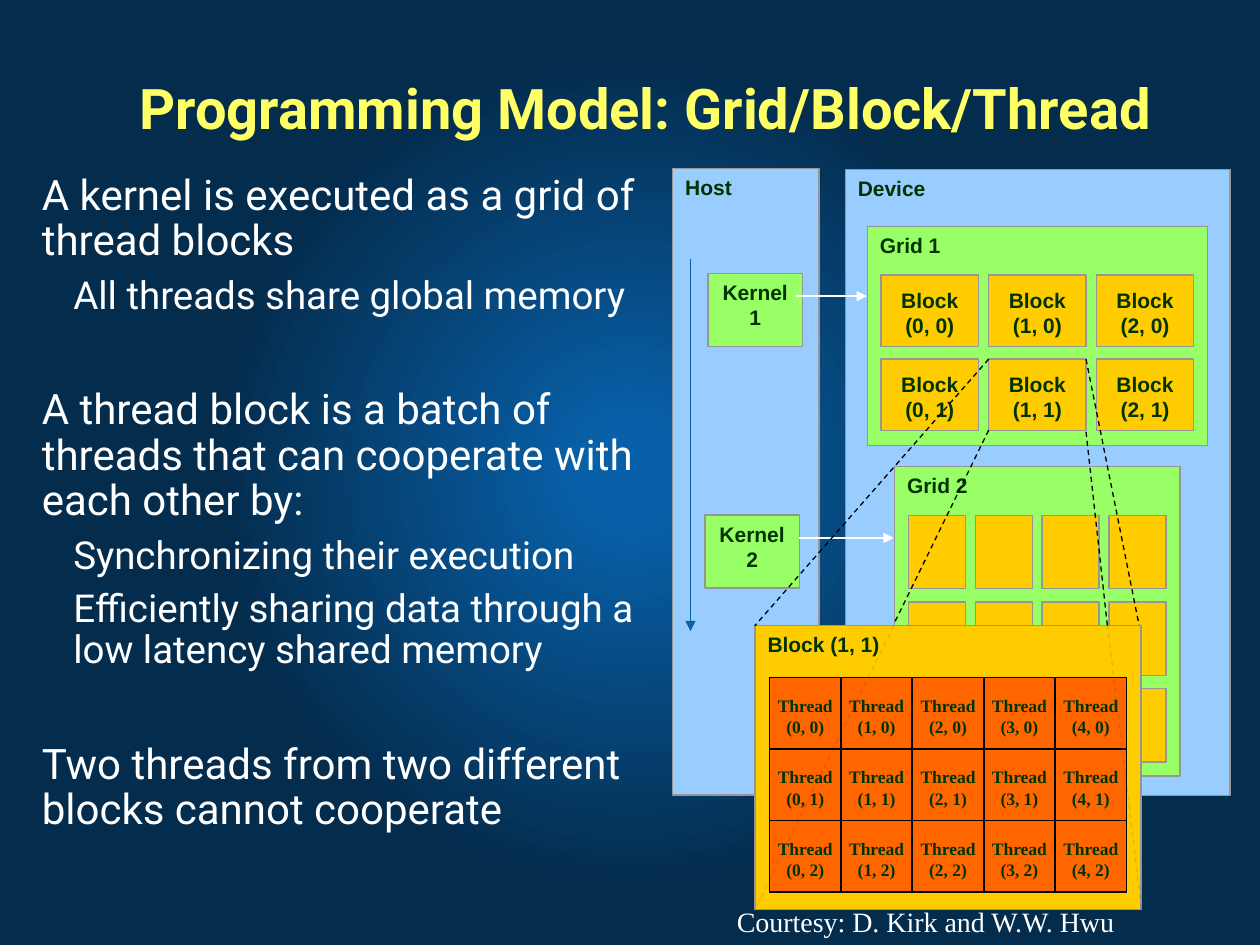
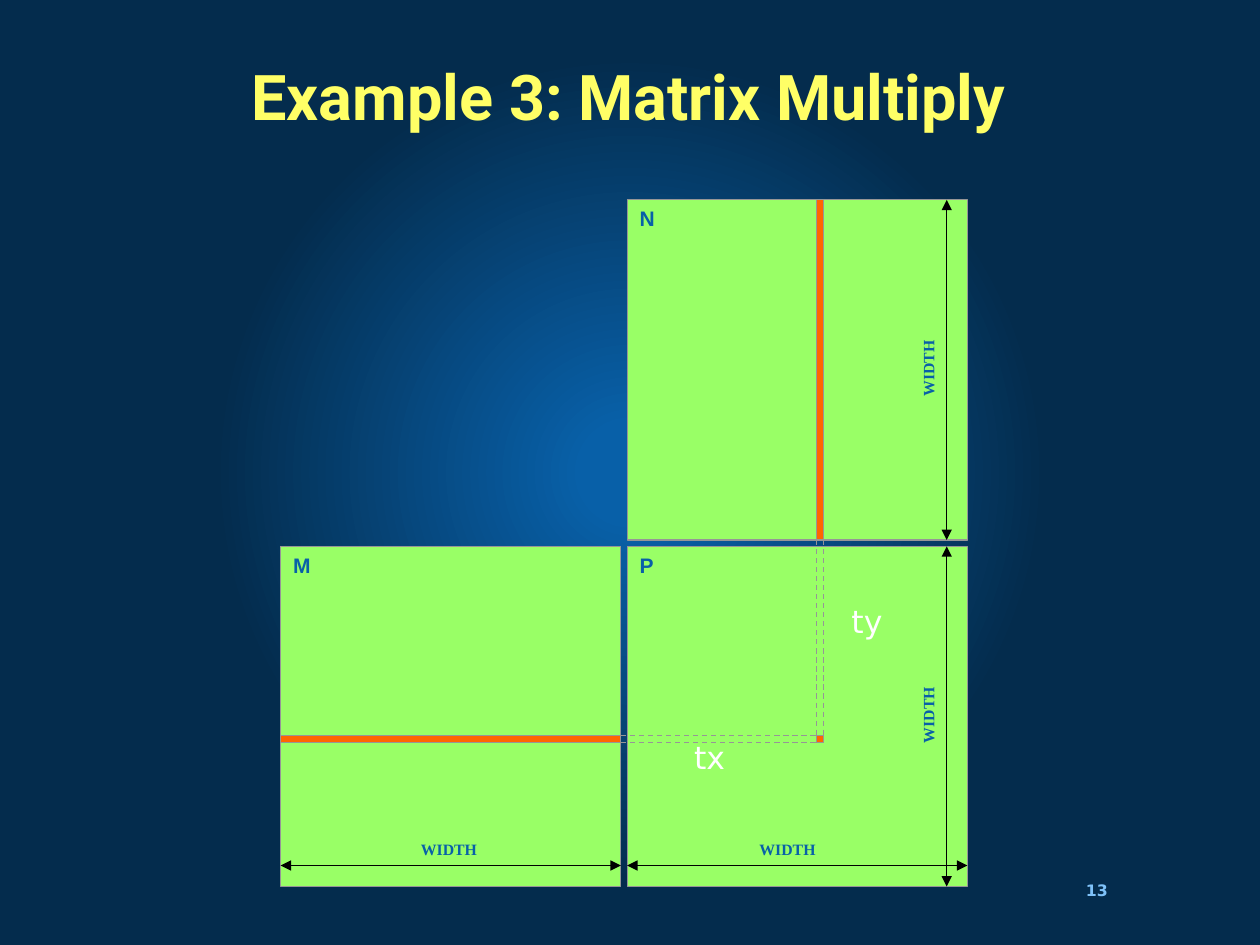
"""Build two slides on the grid/block/thread model and on matrix multiplication."""
from dataclasses import dataclass, replace
from itertools import product
from typing import Any, Optional

from lxml.etree import SubElement
from pptx import Presentation
from pptx.dml.color import RGBColor
from pptx.enum.dml import MSO_LINE_DASH_STYLE as Dash
from pptx.enum.shapes import MSO_CONNECTOR as Connector, MSO_SHAPE as Preset
from pptx.enum.text import MSO_ANCHOR as Anchor, PP_ALIGN as Align
from pptx.oxml import parse_xml
from pptx.oxml.ns import nsdecls, qn
from pptx.util import Pt


@dataclass(frozen=True)
class Theme:
    blue: str = "0860A8"
    navy: str = "042C4D"
    yellow: str = "FFFF66"
    white: str = "FFFFFF"
    black: str = "000000"
    forest: str = "003300"
    sky: str = "99CCFF"
    green: str = "99FF66"
    gold: str = "FFCC00"
    orange: str = "FF6600"
    grey: str = "969696"
    page: str = "7FC2F9"
    sans: str = "Roboto"
    plain: str = "DejaVu Sans"
    label: str = "Arial"
    serif: str = "Times New Roman"
    title_size: float = 36
    long_title_size: float = 32
    body_size: float = 24
    detail_size: float = 22
    index_size: float = 18
    credit_size: float = 16
    label_size: float = 12
    thread_size: float = 10
    small_size: float = 9


THEME = Theme()


@dataclass(frozen=True)
class Style:
    size: float
    font: str
    colour: str
    bold: bool = False
    align: Align = Align.LEFT
    spacing: float = 1.0


@dataclass(frozen=True)
class Box:
    left: float
    top: float
    width: float
    height: float

    def emu(self) -> tuple:
        return tuple(Pt(v) for v in (self.left, self.top, self.width, self.height))


NO_INSETS = (0, 0, 0, 0)
DEFAULT_INSETS = (7.2, 3.6, 7.2, 3.6)


@dataclass(frozen=True)
class Panel:
    box: Box
    fill: str
    text: str = ""
    style: Optional[Style] = None
    insets: tuple = DEFAULT_INSETS


@dataclass(frozen=True)
class Stroke:
    colour: str
    width: float
    dashed: bool = False
    opacity: int = 100
    head: bool = False
    tail: bool = False


@dataclass(frozen=True)
class Point:
    text: str
    detail: bool = False
    before: float = 0


TITLE = Style(THEME.title_size, THEME.sans, THEME.yellow, True, Align.CENTER, 0.9)
BODY = Style(THEME.body_size, THEME.sans, THEME.white, spacing=0.9)
HEADING = Style(THEME.label_size, THEME.label, THEME.forest, True)
CENTRED = replace(HEADING, align=Align.CENTER)
MATRIX_NAME = replace(HEADING, colour=THEME.blue)
THREAD = Style(THEME.thread_size, THEME.serif, THEME.forest, True, Align.CENTER)
DIMENSION = Style(THEME.small_size, THEME.serif, THEME.blue, True, Align.CENTER)
INDEX = Style(THEME.index_size, THEME.plain, THEME.white)
CREDIT = Style(THEME.credit_size, THEME.serif, THEME.white)
PAGE = Style(THEME.small_size, THEME.plain, THEME.page, True, Align.CENTER)

RULE = Stroke(THEME.black, 1)
LAUNCH = Stroke(THEME.white, 1.5, tail=True)
ZOOM = Stroke(THEME.black, 0.75, dashed=True)
GUIDE = Stroke(THEME.grey, 0.75, dashed=True)
SPAN = Stroke(THEME.black, 0.5, head=True, tail=True)

POINTS = (
    Point("A kernel is executed as a grid of thread blocks"),
    Point("All threads share global memory", True, 6.6),
    Point("A thread block is a batch of threads that can cooperate with each other by:", before=40.4),
    Point("Synchronizing their execution", True, 6.6),
    Point("Efficiently sharing data through a low latency shared memory", True, 6.6),
    Point("Two threads from two different blocks cannot cooperate", before=40.4),
)


def assign(target: Any, values: dict) -> None:
    for name, value in values.items():
        setattr(target, name, value)


def style_paragraph(paragraph: Any, text: str, style: Style) -> None:
    paragraph.text = text
    assign(paragraph, {"alignment": style.align, "line_spacing": style.spacing})
    assign(paragraph.font, {"size": Pt(style.size), "name": style.font, "bold": style.bold})
    paragraph.font.color.rgb = RGBColor.from_string(style.colour)


def set_frame(frame: Any, insets: tuple, anchor: Anchor, wrap: bool) -> None:
    sides = ("margin_left", "margin_top", "margin_right", "margin_bottom")
    margins = {side: Pt(inset) for side, inset in zip(sides, insets)}
    assign(frame, {**margins, "vertical_anchor": anchor, "word_wrap": wrap})


def write(frame: Any, text: str, style: Style) -> None:
    for row, line in enumerate(text.split("\n")):
        style_paragraph(frame.paragraphs[0] if row == 0 else frame.add_paragraph(), line, style)


def draw_text(slide: Any, box: Box, text: str, style: Style, insets: tuple = DEFAULT_INSETS,
              anchor: Anchor = Anchor.TOP, wrap: bool = True, rotation: float = 0) -> None:
    label = slide.shapes.add_textbox(*box.emu())
    label.rotation = rotation
    set_frame(label.text_frame, insets, anchor, wrap)
    write(label.text_frame, text, style)


def draw_title(slide: Any, box: Box, text: str, size: float) -> None:
    draw_text(slide, box, text, replace(TITLE, size=size), anchor=Anchor.MIDDLE)


def draw_panel(slide: Any, panel: Panel, edge: str = THEME.grey, edge_width: float = 0.75) -> None:
    shape = slide.shapes.add_shape(Preset.RECTANGLE, *panel.box.emu())
    shape.shadow.inherit = False
    shape.fill.solid()
    shape.fill.fore_color.rgb = RGBColor.from_string(panel.fill)
    shape.line.color.rgb = RGBColor.from_string(edge)
    shape.line.width = Pt(edge_width)
    if panel.style:
        set_frame(shape.text_frame, panel.insets, Anchor.TOP, True)
        write(shape.text_frame, panel.text, panel.style)


def draw_line(slide: Any, start: tuple, end: tuple, stroke: Stroke) -> None:
    line = slide.shapes.add_connector(Connector.STRAIGHT, *(Pt(v) for v in start + end))
    line.line.color.rgb = RGBColor.from_string(stroke.colour)
    line.line.width = Pt(stroke.width)
    if stroke.dashed:
        line.line.dash_style = Dash.DASH
    properties = line.element.spPr
    outline = properties.find(qn("a:ln"))
    if stroke.opacity < 100:
        colour = outline.find(".//" + qn("a:srgbClr"))
        SubElement(colour, qn("a:alpha"), val=str(stroke.opacity * 1000))
    for tag, shown in (("a:headEnd", stroke.head), ("a:tailEnd", stroke.tail)):
        if shown:
            SubElement(outline, qn(tag), type="triangle")
    SubElement(properties, qn("a:effectLst"))


def set_background(master: Any) -> None:
    fill = master.background.fill
    fill.gradient()
    for stop, position, colour in zip(fill.gradient_stops, (0.06, 0.53), (THEME.blue, THEME.navy)):
        stop.position = position
        stop.color.rgb = RGBColor.from_string(colour)
    linear = master.element.find(".//" + qn("a:lin"))
    linear.getparent().replace(linear, parse_xml(
        f'<a:path {nsdecls("a")} path="circle">'
        '<a:fillToRect l="50000" t="50000" r="50000" b="50000"/></a:path>'))


def draw_points(slide: Any, box: Box) -> None:
    frame = slide.shapes.add_textbox(*box.emu()).text_frame
    set_frame(frame, DEFAULT_INSETS, Anchor.TOP, True)
    for row, point in enumerate(POINTS):
        paragraph = frame.paragraphs[0] if row == 0 else frame.add_paragraph()
        size = THEME.detail_size if point.detail else THEME.body_size
        style_paragraph(paragraph, point.text, replace(BODY, size=size))
        paragraph.space_before = Pt(point.before)
        if point.detail:
            paragraph._p.get_or_add_pPr().set("marL", str(Pt(18)))


def draw_threads(slide: Any) -> None:
    left, top, pitch, columns, rows = 439.7, 387.2, 40.8, 5, 3
    right, bottom = left + columns * pitch, top + rows * pitch
    draw_panel(slide, Panel(Box(left, top, right - left, bottom - top), THEME.orange), THEME.black, 1)
    for row in range(1, rows):
        draw_line(slide, (left, top + row * pitch), (right, top + row * pitch), RULE)
    for column in range(1, columns):
        draw_line(slide, (left + column * pitch, top), (left + column * pitch, bottom), RULE)
    for row, column in product(range(rows), range(columns)):
        cell = Box(left + column * pitch, top + 10 + row * pitch, pitch, 24)
        draw_text(slide, cell, f"Thread\n({column}, {row})", THREAD, NO_INSETS)


def build_model_slide(slide: Any) -> None:
    draw_title(slide, Box(36, 21.6, 666, 84.2), "Programming Model: Grid/Block/Thread",
               THEME.long_title_size)
    draw_points(slide, Box(16.8, 95.8, 373, 394.6))
    for panel in (
        Panel(Box(384.5, 96.5, 83.5, 357.8), THEME.sky, "Host", HEADING),
        Panel(Box(404.6, 156.3, 54, 41.8), THEME.green, "Kernel 1", CENTRED),
        Panel(Box(402.8, 294.2, 54, 41.8), THEME.green, "Kernel 2", CENTRED),
        Panel(Box(483.1, 97, 219.8, 357.8), THEME.sky, "Device", HEADING),
        Panel(Box(495.7, 129.5, 194.4, 125.3), THEME.green, "Grid 1", HEADING),
        Panel(Box(511.2, 266.5, 163.2, 177), THEME.green, "Grid 2", HEADING),
    ):
        draw_panel(slide, panel)
    draw_line(slide, (394.6, 148.3), (394.6, 360.7), Stroke(THEME.blue, 1, tail=True))
    for row, column in product(range(2), range(3)):
        block = Box(503.5 + 61.5 * column, 157.2 + 48 * row, 55.6, 40.8)
        draw_panel(slide, Panel(block, THEME.gold, f"Block\n({column}, {row})", CENTRED, (0, 7.2, 0, 0)))
    for row, column in (*product(range(2), range(4)), (2, 3)):
        draw_panel(slide, Panel(Box(519 + 38.25 * column, 294.5 + 49.5 * row, 32.6, 42), THEME.gold))
    draw_panel(slide, Panel(Box(431.5, 357.6, 220.5, 162), THEME.gold, "Block (1, 1)", HEADING))
    draw_threads(slide)
    faint = replace(ZOOM, opacity=10)
    for start, end, stroke in (
        ((455, 169.2), (495.4, 169.2), LAUNCH),
        ((456.5, 307.4), (510.8, 307.4), LAUNCH),
        ((565, 205.2), (431.3, 357.6), ZOOM),
        ((620.6, 205.2), (650.9, 357.2), ZOOM),
        ((565, 245.8), (510.8, 356.6), ZOOM),
        ((620.6, 246.8), (632.9, 358.4), ZOOM),
        ((510.8, 357.2), (432, 518.4), faint),
        ((632.9, 357.2), (652.2, 519), faint),
    ):
        draw_line(slide, start, end, stroke)
    draw_text(slide, Box(414, 513.4, 237.6, 26.6), "Courtesy: D. Kirk and W.W. Hwu", CREDIT)


def build_matrix_slide(slide: Any) -> None:
    left, top, side, pitch, offset, strip = 160.4, 114.2, 194.4, 198, 108, 4.3
    inner, lower = left + pitch, top + pitch
    strip_x, strip_y = inner + offset, lower + offset
    for name, x, y in (("M", left, lower), ("N", inner, top), ("P", inner, lower)):
        draw_panel(slide, Panel(Box(x, y, side, side), THEME.green, name, MATRIX_NAME))
    for band in (Box(strip_x, top, strip, side), Box(left, strip_y, side, strip),
                 Box(strip_x, strip_y, strip, strip)):
        draw_panel(slide, Panel(band, THEME.orange))
    for shift in (0, strip):
        draw_line(slide, (strip_x + shift, top + side), (strip_x + shift, strip_y), GUIDE)
        draw_line(slide, (left + side, strip_y + shift), (strip_x, strip_y + shift), GUIDE)
    for x, centre in ((left, 256.5), (inner, 450)):
        draw_line(slide, (x + side, 494.6), (x, 494.6), SPAN)
        draw_text(slide, Box(centre - 20, 480, 40, 10.8), "WIDTH", DIMENSION, NO_INSETS)
    for y in (top, lower):
        draw_line(slide, (541, y + side), (541, y), SPAN)
        draw_text(slide, Box(510.3, y + 91, 40, 10.8), "WIDTH", DIMENSION, NO_INSETS, rotation=270)
    draw_title(slide, Box(27.6, 12.2, 663.2, 90), "Example 3: Matrix Multiply", THEME.title_size)
    draw_text(slide, Box(479.5, 340.6, 36, 36), "ty", INDEX, wrap=False)
    draw_text(slide, Box(389.5, 418.3, 34.6, 36), "tx", INDEX, wrap=False)
    draw_text(slide, Box(610.6, 496.8, 32.4, 23.8), "13", PAGE, NO_INSETS, Anchor.MIDDLE)


def main() -> None:
    deck = Presentation()
    assign(deck, {"slide_width": Pt(720), "slide_height": Pt(540)})
    set_background(deck.slide_master)
    for build in (build_model_slide, build_matrix_slide):
        build(deck.slides.add_slide(deck.slide_layouts[6]))
    deck.save("out.pptx")


if __name__ == "__main__":
    main()
